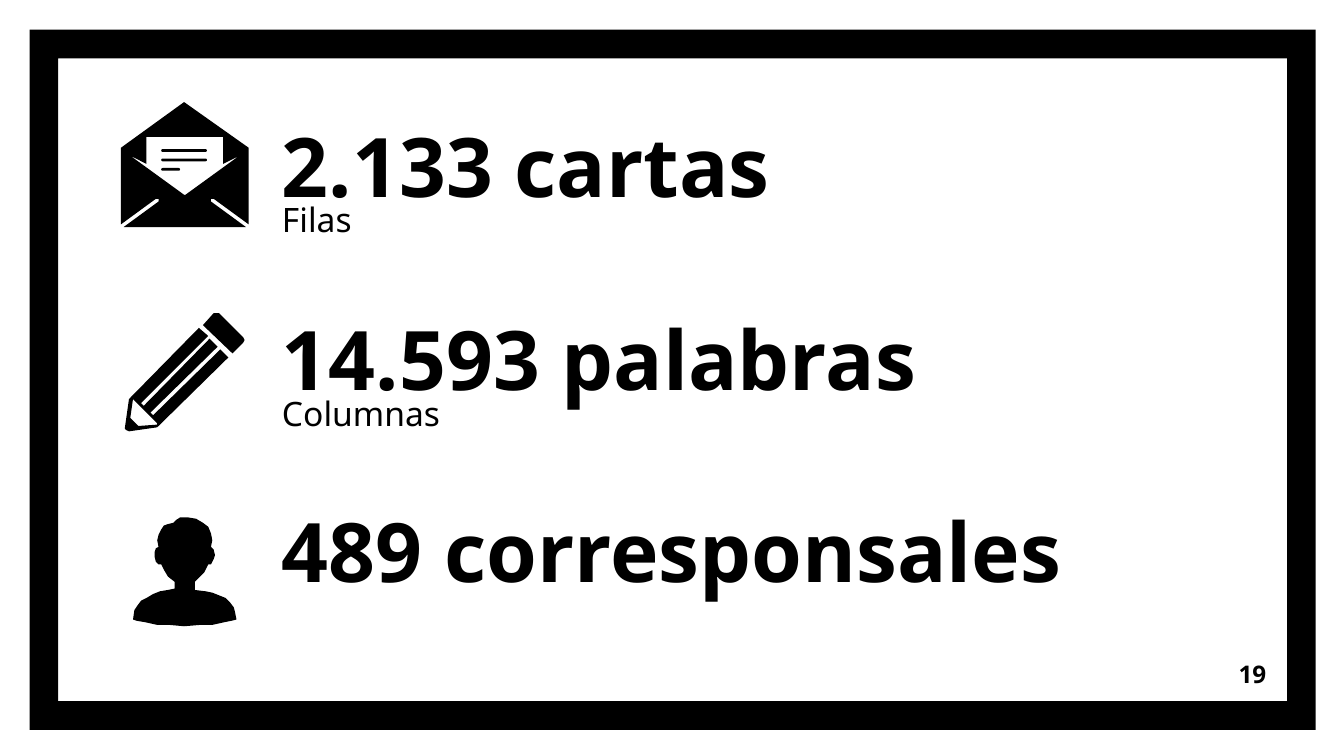
"""Build a slide with three key figures of a letter collection, each beside an icon."""
from pptx import Presentation
from pptx.dml.color import RGBColor
from pptx.enum.shapes import MSO_SHAPE as SHAPE
from pptx.enum.text import MSO_ANCHOR as ANCHOR, PP_ALIGN as ALIGN
from pptx.util import Inches, Pt

BLACK = RGBColor(0, 0, 0)
WHITE = RGBColor(255, 255, 255)
FONT = "Noto Sans"


def add_text(left, top, width, height, text, size, bold, anchor, align=ALIGN.LEFT):
    s = slide.shapes.add_textbox(Inches(left), Inches(top), Inches(width), Inches(height))
    tf = s.text_frame
    tf.word_wrap = True
    tf.vertical_anchor = anchor
    tf.margin_left = tf.margin_right = tf.margin_top = tf.margin_bottom = Inches(0.1)
    p = tf.paragraphs[0]
    p.alignment = align
    r = p.add_run()
    r.text = text
    r.font.name = FONT
    r.font.size = Pt(size)
    r.font.bold = bold
    r.font.color.rgb = BLACK


def paint(s):
    s.shadow.inherit = False
    s.fill.solid()
    s.fill.fore_color.rgb = BLACK
    s.line.fill.background()


prs = Presentation()
prs.slide_width = Inches(10)
prs.slide_height = Inches(10) * 9 // 16
slide = prs.slides.add_slide(prs.slide_layouts[6])
slide.background.fill.solid()
slide.background.fill.fore_color.rgb = WHITE

frame = slide.shapes.add_shape(SHAPE.FRAME, Inches(0.22), Inches(0.22), Inches(9.57), Inches(5.21))
frame.adjustments[0] = 0.041
paint(frame)

rows = [
    (0.71, "2.133 cartas", "Filas"),
    (2.15, "14.593 palabras", "Columnas"),
    (3.58, "489 corresponsales", None),
]
for top, figure, label in rows:
    add_text(2, top, 6.6, 0.98, figure, 44, True, ANCHOR.BOTTOM)
    if label:
        add_text(2, top + 0.67, 6.6, 0.51, label, 18, False, ANCHOR.TOP)

add_text(8.92, 4.8, 0.6, 0.43, "19", 13, True, ANCHOR.MIDDLE, ALIGN.RIGHT)

letter = [(166, 102), (166, 122), (178, 116), (138, 145), (137, 145), (97, 116), (109, 122), (109, 102)]
envelope = [
    (137, 76), (90, 110), (90, 167), (116, 148), (118, 148), (118, 150), (92, 169),
    (183, 169), (157, 150), (157, 148), (159, 148), (185, 167), (185, 110),
]
eraser = [
    (161, 233), (159, 233), (151, 242), (173, 263), (181, 255), (182, 253), (181, 251),
    (163, 233),
]
pencil_tip = [(99, 297), (117, 315), (117, 316), (103, 317), (97, 311)]
pencil = [
    (148, 244), (97, 296), (96, 297), (93, 318), (93, 319), (94, 320), (96, 321), (117, 318),
    (118, 317), (170, 266), (164, 260), (114, 309), (112, 307), (162, 258), (156, 252),
    (107, 302), (105, 300), (155, 250),
]
person = [
    (137, 385), (134, 385), (131, 387), (129, 389), (125, 390), (122, 391), (120, 394),
    (118, 398), (117, 402), (118, 407), (116, 408), (115, 411), (115, 414), (116, 418),
    (118, 420), (120, 420), (122, 424), (125, 429), (130, 433), (130, 438), (125, 439),
    (119, 440), (114, 442), (109, 445), (105, 447), (102, 451), (100, 454), (99, 461),
    (102, 462), (108, 463), (117, 465), (126, 465), (137, 466), (149, 465), (158, 465),
    (167, 463), (172, 462), (176, 461), (175, 456), (174, 452), (171, 448), (168, 445),
    (163, 443), (158, 441), (153, 440), (145, 439), (145, 433), (149, 429), (152, 426),
    (155, 420), (157, 420), (159, 416), (160, 413), (159, 409), (157, 407), (158, 402),
    (157, 397), (155, 392), (151, 389), (146, 386), (140, 385),
]
for outlines in ([letter, envelope], [eraser], [pencil_tip, pencil], [person]):
    builder = slide.shapes.build_freeform(*outlines[0][0], scale=Inches(0.01))
    builder.add_line_segments(outlines[0][1:])
    for outline in outlines[1:]:
        builder.move_to(*outline[0])
        builder.add_line_segments(outline[1:])
    paint(builder.convert_to_shape())

for i, width in enumerate((0.34, 0.34, 0.14)):
    s = slide.shapes.add_shape(
        SHAPE.ROUNDED_RECTANGLE, Inches(1.2), Inches(1.11 + 0.07 * i), Inches(width), Inches(0.02)
    )
    s.adjustments[0] = 0.5
    paint(s)

prs.save("out.pptx")
